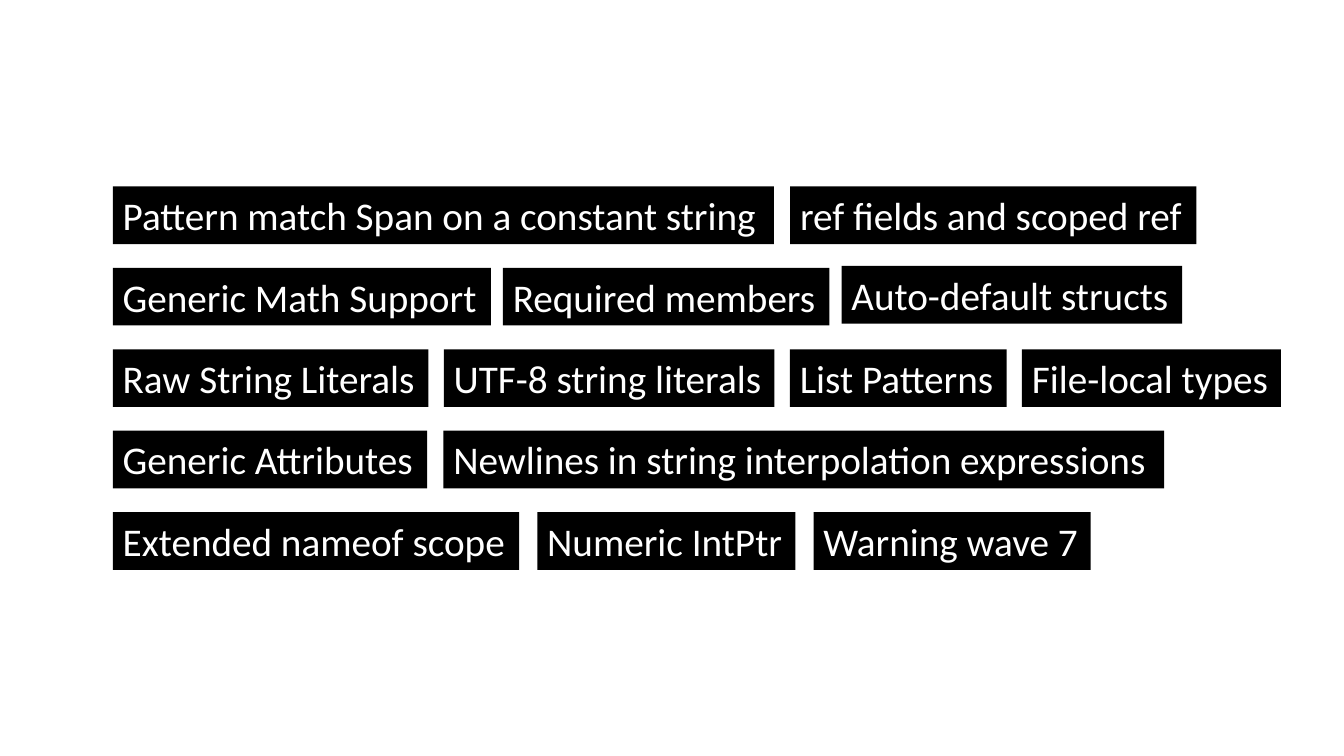
import pptx
import pptx.util
import pptx.dml.color
import pptx.enum.shapes
import pptx.enum.text
from pptx.util import Pt

# Each row: gap between labels, then (text, width, vertical shift)
ROWS = [
    (11.5, [("Pattern match Span on a constant string", 472.3, 0),
            ("ref fields and scoped ref", 290.2, 0)]),
    (8.6, [("Generic Math Support", 270, 0),
           ("Required members", 233.3, 0),
           ("Auto-default structs", 243.4, -1.4)]),
    (11, [("Raw String Literals", 225.4, 0),
          ("UTF-8 string literals", 236.2, 0),
          ("List Patterns", 154.8, 0),
          ("File-local types", 185, 0)]),
    (11.5, [("Generic Attributes", 224.6, 0),
            ("Newlines in string interpolation expressions", 514.8, 0)]),
    (13, [("Extended nameof scope", 290.2, 0),
          ("Numeric IntPtr", 184.3, 0),
          ("Warning wave 7", 198, 0)]),
]

THEME = {
    "fill": pptx.dml.color.RGBColor.from_string("000000"),
    "text": pptx.dml.color.RGBColor.from_string("FFFFFF"),
    "font": "Calibri",
    "size": Pt(28),
}
LEFT, TOP, ROW_PITCH, LABEL_HEIGHT = 80.6, 133.2, 58.15, 41.2


def add_label(s, text, left, top, width):
    sp = s.shapes.add_shape(pptx.enum.shapes.MSO_SHAPE.RECTANGLE,
                            Pt(left), Pt(top), Pt(width), Pt(LABEL_HEIGHT))
    sp.shadow.inherit = False
    sp.fill.solid()
    sp.fill.fore_color.rgb = THEME["fill"]
    sp.line.fill.background()
    tf = sp.text_frame
    tf.word_wrap = True
    tf.auto_size = pptx.enum.text.MSO_AUTO_SIZE.SHAPE_TO_FIT_TEXT
    tf.vertical_anchor = pptx.enum.text.MSO_ANCHOR.TOP
    p = tf.paragraphs[0]
    p.text = text
    p.alignment = pptx.enum.text.PP_ALIGN.LEFT
    p.font.name = THEME["font"]
    p.font.size = THEME["size"]
    p.font.color.rgb = THEME["text"]


def main():
    prs = pptx.Presentation()
    prs.slide_width, prs.slide_height = Pt(960), Pt(540)
    s = prs.slides.add_slide(prs.slide_layouts[6])
    for i, (gap, labels) in enumerate(ROWS):
        left = LEFT
        for text, width, shift in labels:
            add_label(s, text, left, TOP + i * ROW_PITCH + shift, width)
            left += width + gap
    prs.save("out.pptx")


if __name__ == "__main__":
    main()
